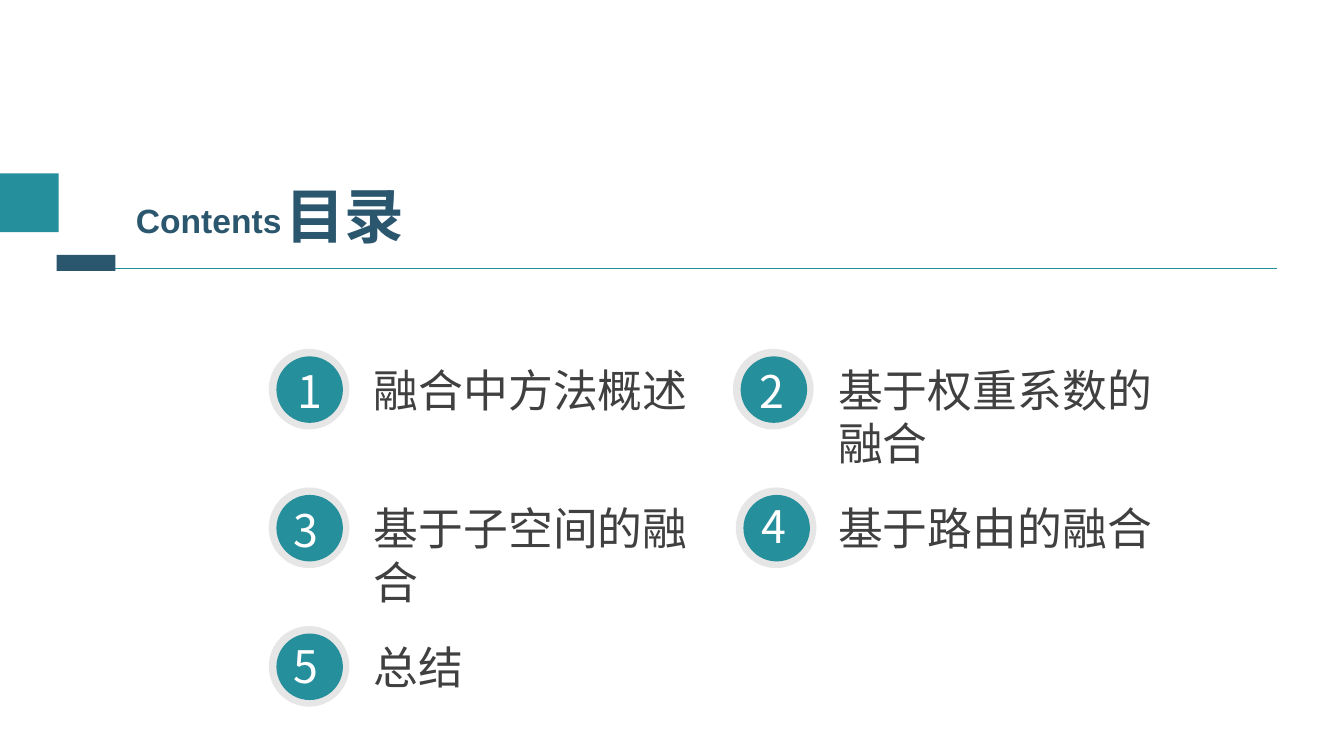
import pptx
import pptx.util
import pptx.dml.color
import pptx.enum.shapes
import pptx.enum.text
import pptx.oxml.ns
from lxml import etree

Pt = pptx.util.Pt
SHAPE = pptx.enum.shapes.MSO_SHAPE
COLORS = {
    "teal": "268F9C",
    "navy": "2A566E",
    "ring": "E7E6E6",
    "text": "404040",
    "white": "FFFFFF",
}
CJK_FONT = "Noto Sans CJK SC"


def add_block(shapes, kind, left, top, width, height, color):
    shape = shapes.add_shape(kind, Pt(left), Pt(top), Pt(width), Pt(height))
    shape.shadow.inherit = False
    shape.fill.solid()
    shape.fill.fore_color.rgb = pptx.dml.color.RGBColor.from_string(COLORS[color])
    shape.line.fill.background()


def add_label(shapes, text, left, top, width, height, size, color, font=CJK_FONT, bold=False):
    box = shapes.add_textbox(Pt(left), Pt(top), Pt(width), Pt(height))
    box.text_frame.word_wrap = True
    box.text_frame.auto_size = pptx.enum.text.MSO_AUTO_SIZE.SHAPE_TO_FIT_TEXT
    box.text_frame.text = text
    run = box.text_frame.paragraphs[0].runs[0]
    run.font.size = Pt(size)
    run.font.bold = bold
    run.font.name = font
    run.font.color.rgb = pptx.dml.color.RGBColor.from_string(COLORS[color])
    east_asian = etree.SubElement(run.font._element, pptx.oxml.ns.qn("a:ea"))
    east_asian.set("typeface", font)


presentation = pptx.Presentation()
presentation.slide_width = Pt(960)
presentation.slide_height = Pt(540)
slide = presentation.slides.add_slide(presentation.slide_layouts[6])

# Title rule
rule = slide.shapes.add_connector(
    pptx.enum.shapes.MSO_CONNECTOR.STRAIGHT, Pt(42.5), Pt(191.5), Pt(912), Pt(191.5))
rule.line.color.rgb = pptx.dml.color.RGBColor.from_string(COLORS["teal"])
rule.line.width = Pt(0.75)
etree.SubElement(rule._element.spPr, pptx.oxml.ns.qn("a:effectLst"))

# Title and its accent blocks
add_label(slide.shapes, "目录", 196.5, 124.5, 123, 59, 42.6, "navy", bold=True)
add_label(slide.shapes, "Contents", 90, 139, 148, 36, 24, "navy", font="Arial", bold=True)
add_block(slide.shapes, SHAPE.RECTANGLE, 0, 123.8, 42, 42, "teal")
add_block(slide.shapes, SHAPE.RECTANGLE, 40.5, 182, 42, 11.5, "navy")

# Contents entries: two columns, filled row by row
# Each entry: text, text width, badge shift, number offset inside the badge
entries = [
    ("融合中方法概述", 253, 0, (13.7, 7.2)),
    ("基于权重系数的融合", 243.4, 0, (11.5, 7.2)),
    ("基于子空间的融合", 262.8, 0, (10.8, 7.2)),
    ("基于路由的融合", 250.6, 2, (11.5, 4.3)),
    ("总结", 117.4, 0, (10.8, 5.8)),
]
COLUMN_LEFTS = [192, 523.6]
FIRST_TOP, ROW_STEP = 249.2, 99
RING, DISC = 57.6, 47.5
MARGIN = (RING - DISC) / 2

for index, (text, width, shift, (number_x, number_y)) in enumerate(entries):
    row, column = divmod(index, 2)
    left = COLUMN_LEFTS[column]
    top = FIRST_TOP + row * ROW_STEP
    badge_left = left + shift

    badge = slide.shapes.add_group_shape()
    add_block(badge.shapes, SHAPE.OVAL, badge_left, top, RING, RING, "ring")
    add_block(badge.shapes, SHAPE.OVAL, badge_left + MARGIN + 0.4, top + MARGIN + 0.3,
              DISC, DISC, "teal")
    add_label(badge.shapes, str(index + 1), badge_left + number_x, top + number_y,
              34.6, 46, 32, "white")

    height = 85 if len(text) > 7 else 46
    add_label(slide.shapes, text, left + 68, top + 6, width, height, 32, "text")

presentation.save("out.pptx")
